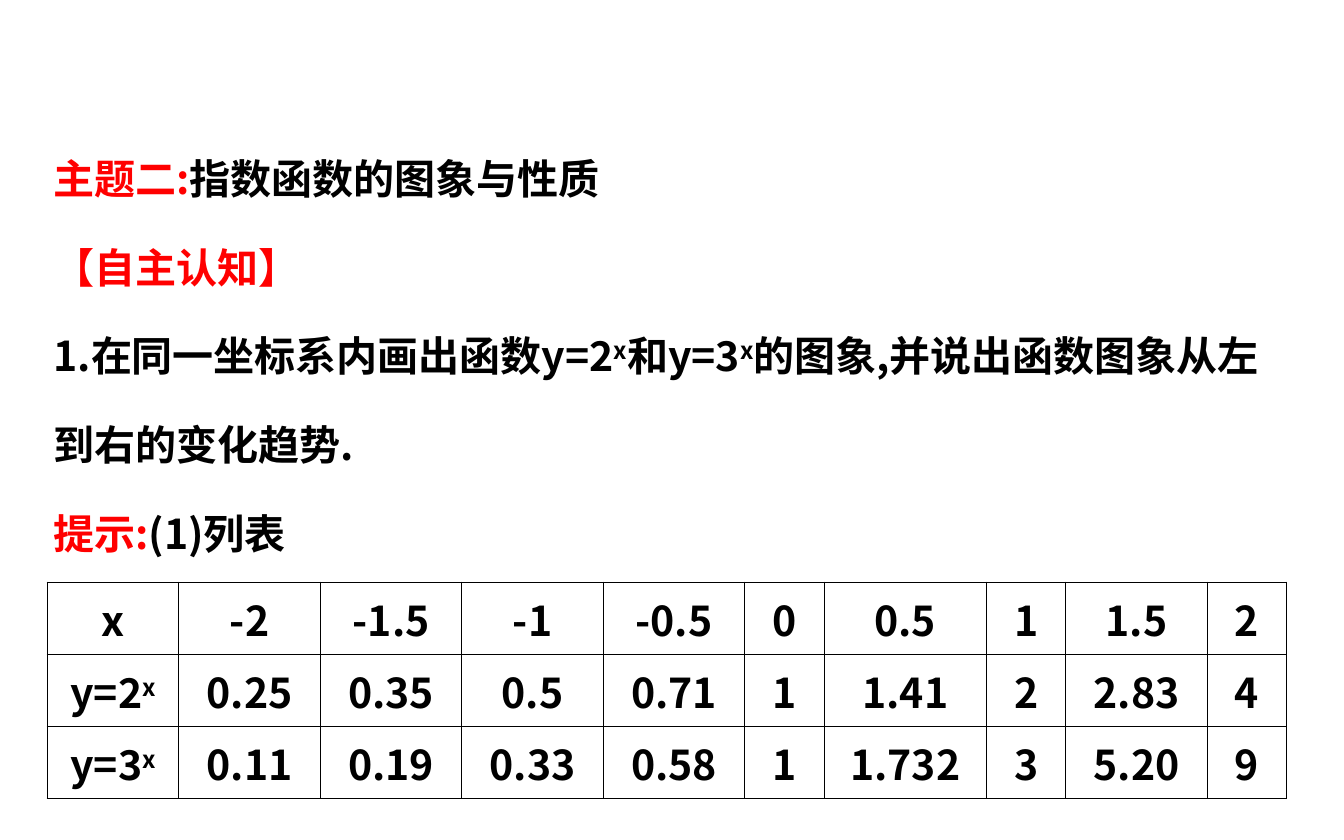
from lxml import etree
from pptx import Presentation
from pptx.dml.color import RGBColor
from pptx.enum.text import MSO_ANCHOR, MSO_AUTO_SIZE, PP_ALIGN
from pptx.oxml.ns import qn
from pptx.util import Pt

MIDDLE = MSO_ANCHOR.MIDDLE
GROW = MSO_AUTO_SIZE.SHAPE_TO_FIT_TEXT
CENTER = PP_ALIGN.CENTER

RED = RGBColor(0xFF, 0x00, 0x00)
BLACK = RGBColor(0x00, 0x00, 0x00)
FONT = "Noto Sans CJK SC"
FONT_FORMAT = {"name": FONT, "size": Pt(22), "bold": True}
INNER_LINE, OUTER_LINE = 0.45, 0.75

SUPER = "super"
LESSON = [
    [("主题二:", RED), ("指数函数的图象与性质", BLACK)],
    [("【自主认知】", RED)],
    [("1.在同一坐标系内画出函数y=2", BLACK), ("x", BLACK, SUPER),
     ("和y=3", BLACK), ("x", BLACK, SUPER),
     ("的图象,并说出函数图象从左到右的变化趋势.", BLACK)],
    [("提示:", RED), ("(1)列表", BLACK)],
]
VALUES = [
    ("x", ["-2", "-1.5", "-1", "-0.5", "0", "0.5", "1", "1.5", "2"]),
    ("y=2", ["0.25", "0.35", "0.5", "0.71", "1", "1.41", "2", "2.83", "4"]),
    ("y=3", ["0.11", "0.19", "0.33", "0.58", "1", "1.732", "3", "5.20", "9"]),
]
LABEL, WIDE, NARROW, WIDEST = 70.5, 75.8, 42.5, 87
COLUMN_WIDTHS = [LABEL] + [WIDE] * 4 + [NARROW, WIDEST, NARROW, WIDE, NARROW]
ROW_HEIGHT = 38.65


def write_runs(paragraph, pieces):
    for words, color, *raised in pieces:
        run = paragraph.add_run()
        run.text = words
        for key, value in FONT_FORMAT.items():
            setattr(run.font, key, value)
        run.font.color.rgb = color
        properties = run._r.get_or_add_rPr()
        etree.SubElement(properties, qn("a:ea"), typeface=FONT)
        if raised:
            properties.set("baseline", "30000")


def draw_borders(cell, widths):
    properties = cell._tc.get_or_add_tcPr()
    for side, width in widths.items():
        line = etree.SubElement(properties, qn("a:ln" + side), w=str(Pt(width)))
        fill = etree.SubElement(line, qn("a:solidFill"))
        etree.SubElement(fill, qn("a:srgbClr"), val=str(BLACK))


def add_lesson(slide):
    lesson = slide.shapes.add_textbox(Pt(21.6), Pt(57.6), Pt(679), Pt(244.8)).text_frame
    lesson.word_wrap = True
    lesson.auto_size = GROW
    for index, pieces in enumerate(LESSON):
        paragraph = lesson.add_paragraph() if index else lesson.paragraphs[0]
        paragraph.line_spacing = 1.8
        write_runs(paragraph, pieces)


def add_values(slide):
    rows, columns = len(VALUES), len(COLUMN_WIDTHS)
    table = slide.shapes.add_table(
        rows, columns, Pt(25.3), Pt(311.9),
        Pt(sum(COLUMN_WIDTHS)), Pt(ROW_HEIGHT * rows)).table
    for column, width in zip(table.columns, COLUMN_WIDTHS):
        column.width = Pt(width)
    for r, (label, numbers) in enumerate(VALUES):
        table.rows[r].height = Pt(ROW_HEIGHT)
        heading = [(label, BLACK)] + ([("x", BLACK, SUPER)] if r else [])
        for c, pieces in enumerate([heading] + [[(n, BLACK)] for n in numbers]):
            cell = table.cell(r, c)
            cell.vertical_anchor = MIDDLE
            paragraph = cell.text_frame.paragraphs[0]
            paragraph.alignment = CENTER
            write_runs(paragraph, pieces)
            on_edge = {"L": c == 0, "R": c == columns - 1,
                       "T": r == 0, "B": r == rows - 1}
            draw_borders(cell, {side: OUTER_LINE if edge else INNER_LINE
                                for side, edge in on_edge.items()})
            cell.fill.background()


def main():
    deck = Presentation()
    deck.slide_width, deck.slide_height = Pt(720), Pt(450)
    slide = deck.slides.add_slide(deck.slide_layouts[6])
    add_lesson(slide)
    add_values(slide)
    deck.save("out.pptx")


if __name__ == "__main__":
    main()
